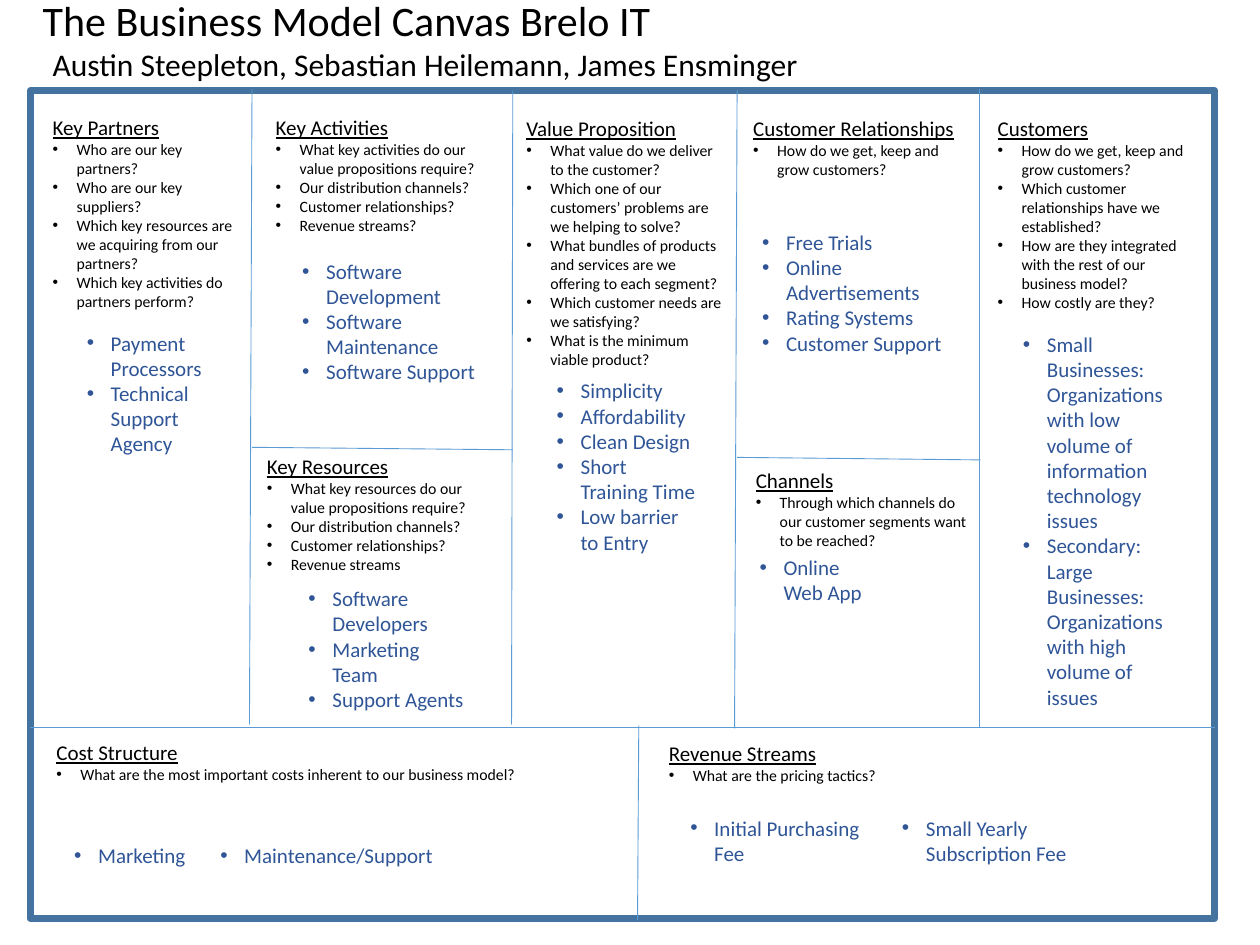
from pptx import Presentation
from pptx.dml.color import RGBColor
from pptx.enum.shapes import MSO_CONNECTOR, MSO_SHAPE
from pptx.enum.text import MSO_AUTO_SIZE
from pptx.oxml.ns import qn
from pptx.util import Inches, Pt
from lxml.etree import SubElement

FONT, BLACK, ANSWER, RULE, FRAME = "Calibri", "000000", "2F5597", "5B9BD5", "43739E"
INDENT = 0.19

TITLES = [
    ((0.24, -0.09, 9.22, 0.5), "The Business Model Canvas Brelo IT", 24),
    ((0.32, 0.31, 7.99, 0.4), "Austin Steepleton, Sebastian Heilemann, James Ensminger", 18),
]
CANVAS = (0.24, 0.72, 9.4, 6.57)
DIVIDERS = [
    (0.24, 5.77, 9.64, 5.77),
    (2, 0.71, 1.98, 5.75),
    (7.77, 0.71, 7.77, 5.77),
    (4.07, 0.72, 4.06, 5.75),
    (5.85, 0.72, 5.83, 5.78),
    (5.85, 3.63, 7.78, 3.65),
    (2, 3.55, 4.07, 3.57),
    (5.07, 5.76, 5.06, 7.3),
]
SECTIONS = [
    ((0.35, 5.82, 4.56, 0.66), "Cost Structure",
     ["What are the most important costs inherent to our business model?"]),
    ((0.32, 0.86, 1.63, 2.07), "Key Partners",
     ["Who are our key partners?", "Who are our key suppliers?",
      "Which key resources are we acquiring from our partners?",
      "Which key activities do partners perform?"]),
    ((2.09, 0.86, 1.87, 1.26), "Key Activities",
     ["What key activities do our value propositions require?",
      "Our distribution channels?", "Customer relationships?", "Revenue streams?"]),
    ((2.02, 3.55, 2.01, 1.26), "Key Resources",
     ["What key resources do our value propositions require?",
      "Our distribution channels?", "Customer relationships?", "Revenue streams"]),
    ((7.82, 0.87, 1.73, 1.87), "Customers",
     ["How do we get, keep and grow customers?",
      "Which customer relationships have we established?",
      "How are they integrated with the rest of our business model?",
      "How costly are they?"]),
    ((5.88, 0.87, 1.84, 0.81), "Customer Relationships",
     ["How do we get, keep and grow customers?"]),
    ((5.9, 3.66, 1.87, 0.91), "Channels",
     ["Through which channels do our customer segments want to be reached?"]),
    ((4.08, 0.87, 1.77, 2.32), "Value Proposition",
     ["What value do we deliver to the customer?",
      "Which one of our customers’ problems are we helping to solve?",
      "What bundles of products and services are we offering to each segment?",
      "Which customer needs are we satisfying?",
      "What is the minimum viable product?"]),
    ((5.21, 5.83, 4.16, 0.66), "Revenue Streams", ["What are the pricing tactics?"]),
]
ANSWERS = [
    ((0.59, 2.57, 1.22, 1.31), ["Payment Processors", "Technical Support Agency"]),
    ((2.3, 2, 1.58, 1.11),
     ["Software Development", "Software Maintenance", "Software Support"]),
    ((4.32, 2.95, 1.31, 1.72),
     ["Simplicity", "Affordability", "Clean Design", "Short Training Time",
      "Low barrier to Entry"]),
    ((5.95, 1.77, 1.69, 1.31),
     ["Free Trials", "Online Advertisements", "Rating Systems", "Customer Support"]),
    ((8.02, 2.58, 1.35, 3.13),
     ["Small Businesses: Organizations with low volume of information technology issues",
      "Secondary: Large Businesses: Organizations with high volume of issues"]),
    ((2.35, 4.6, 1.44, 1.31), ["Software Developers", "Marketing Team", "Support Agents"]),
    ((5.93, 4.35, 1.11, 0.5), ["Online Web App"]),
    ((0.49, 6.64, 1.11, 0.3), ["Marketing"]),
    ((5.38, 6.42, 1.72, 0.5), ["Initial Purchasing Fee"]),
    ((7.06, 6.42, 1.72, 0.5), ["Small Yearly Subscription Fee"]),
    ((1.65, 6.64, 1.93, 0.3), ["Maintenance/Support"]),
]


def color(value):
    return RGBColor.from_string(value)


def add_bullet(para):
    props = para._p.get_or_add_pPr()
    props.set("marL", str(Inches(INDENT)))
    props.set("indent", str(-Inches(INDENT)))
    SubElement(props, qn("a:buFont")).set("typeface", "Arial")
    SubElement(props, qn("a:buChar")).set("char", "•")


def add_text(page, place, bullets, size, ink=BLACK, heading=None, heading_size=12):
    box = page.shapes.add_textbox(*map(Inches, place))
    frame = box.text_frame
    frame.word_wrap = True
    frame.auto_size = MSO_AUTO_SIZE.SHAPE_TO_FIT_TEXT
    lines = ([heading] if heading else []) + bullets
    frame.text = "\n".join(lines)
    for index, para in enumerate(frame.paragraphs):
        is_heading = bool(heading) and index == 0
        if not is_heading:
            add_bullet(para)
        font = para.runs[0].font
        font.name = FONT
        font.size = Pt(heading_size if is_heading else size)
        font.color.rgb = color(ink)
        if is_heading and bullets:
            font.underline = True


def add_divider(page, ends):
    line = page.shapes.add_connector(MSO_CONNECTOR.STRAIGHT, *map(Inches, ends))
    line.line.color.rgb = color(RULE)
    line.line.width = Pt(0.5)
    SubElement(line._element.spPr, qn("a:effectLst"))


def build():
    """Build the business model canvas slide."""
    deck = Presentation()
    deck.slide_width, deck.slide_height = Inches(10), Inches(7.5)
    page = deck.slides.add_slide(deck.slide_layouts[6])

    canvas = page.shapes.add_shape(MSO_SHAPE.RECTANGLE, *map(Inches, CANVAS))
    canvas.shadow.inherit = False
    canvas.fill.background()
    canvas.line.color.rgb = color(FRAME)
    canvas.line.width = Pt(4)

    for ends in DIVIDERS:
        add_divider(page, ends)
    for place, title, size in TITLES:
        add_text(page, place, [], size, heading=title, heading_size=size)
    for place, heading, questions in SECTIONS:
        add_text(page, place, questions, 9, heading=heading)
    for place, answers in ANSWERS:
        add_text(page, place, answers, 12, ANSWER)

    deck.save("out.pptx")


build()
